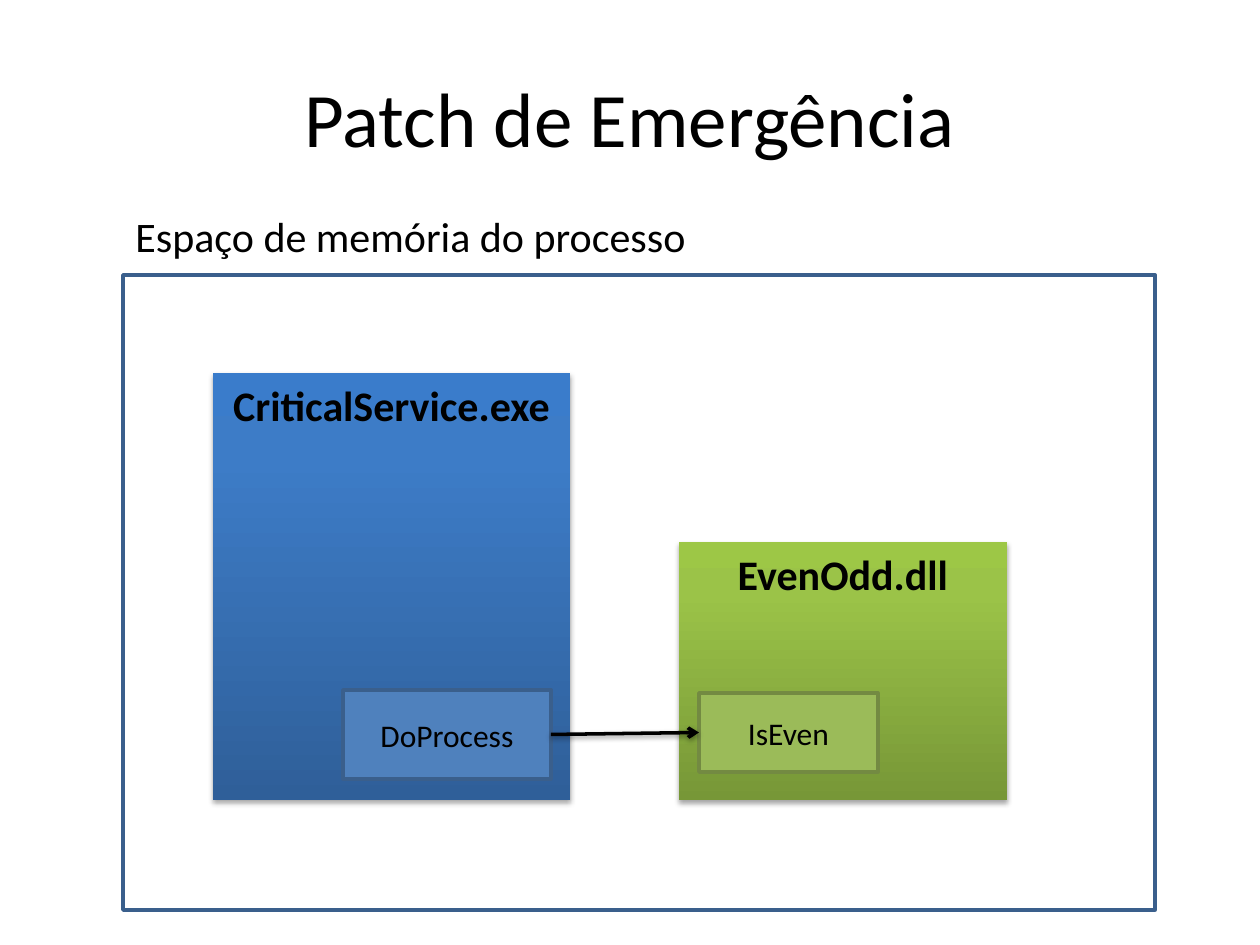
from lxml import etree
from pptx import Presentation
from pptx.dml.color import RGBColor
from pptx.enum.shapes import MSO_CONNECTOR, MSO_SHAPE
from pptx.enum.text import MSO_ANCHOR, PP_ALIGN
from pptx.oxml.ns import qn
from pptx.util import Inches, Pt

RECTANGLE = MSO_SHAPE.RECTANGLE
STRAIGHT = MSO_CONNECTOR.STRAIGHT
TOP, MIDDLE = MSO_ANCHOR.TOP, MSO_ANCHOR.MIDDLE
LEFT, CENTER = PP_ALIGN.LEFT, PP_ALIGN.CENTER

BLACK = RGBColor(0x00, 0x00, 0x00)
BLUE = RGBColor(0x4F, 0x81, 0xBD)
BLUE_EDGE = RGBColor(0x3A, 0x5F, 0x8C)
GREEN = RGBColor(0x9B, 0xBB, 0x59)
GREEN_EDGE = RGBColor(0x73, 0x8A, 0x42)
BLUE_RAMP = [(0, RGBColor(0x2F, 0x5F, 0x99)),
             (80, RGBColor(0x3D, 0x7C, 0xC7)),
             (100, RGBColor(0x3A, 0x7C, 0xCB))]
GREEN_RAMP = [(0, RGBColor(0x77, 0x97, 0x37)),
              (80, RGBColor(0x9B, 0xC3, 0x48)),
              (100, RGBColor(0x9D, 0xC7, 0x46))]

FONT = "Calibri"
EDGE_PT = 2
PX = Inches(1) / 126

TITLE = ("Patch de Emergência", (63, 38, 1134, 158))
MEMORY_LABEL = ("Espaço de memória do processo", (123, 204, 581, 63))
MEMORY_FRAME = (123, 275, 1032, 635)
MODULES = [
    ("CriticalService.exe", (213, 373, 357, 427), BLUE_RAMP),
    ("EvenOdd.dll", (679, 542, 328, 258), GREEN_RAMP),
]
FUNCTIONS = [
    ("DoProcess", (343, 690, 208, 89), BLUE, BLUE_EDGE),
    ("IsEven", (699, 693, 179, 79), GREEN, GREEN_EDGE),
]


def emu(box):
    return [round(length * PX) for length in box]


def write(holder, text, size, bold=False, align=CENTER, anchor=MIDDLE, wrap=True):
    frame = holder.text_frame
    frame.word_wrap = wrap
    frame.vertical_anchor = anchor
    paragraph = frame.paragraphs[0]
    paragraph.alignment = align
    run = paragraph.add_run()
    run.text = text
    run.font.name = FONT
    run.font.size = Pt(size)
    run.font.bold = bold
    run.font.color.rgb = BLACK


def add_box(slide, box, fill=None, edge=None):
    rect = slide.shapes.add_shape(RECTANGLE, *emu(box))
    rect.shadow.inherit = False
    if fill is None:
        rect.fill.background()
    else:
        rect.fill.solid()
        rect.fill.fore_color.rgb = fill
    if edge is None:
        rect.line.fill.background()
    else:
        rect.line.color.rgb = edge
        rect.line.width = Pt(EDGE_PT)
    return rect


def add_color(parent, color):
    return etree.SubElement(parent, qn("a:srgbClr"), val=str(color))


def set_ramp(rect, ramp):
    rect.fill.gradient()
    rect.fill.gradient_angle = 90
    stops = rect._element.spPr.find(".//" + qn("a:gsLst"))
    for stop in list(stops):
        stops.remove(stop)
    for percent, color in ramp:
        add_color(etree.SubElement(stops, qn("a:gs"), pos=str(percent * 1000)), color)


def set_shadow(effects, distance, opacity):
    shadow = etree.SubElement(effects, qn("a:outerShdw"), blurRad=str(Pt(3.1)),
                              dist=str(Pt(distance)), dir="5400000", rotWithShape="0")
    etree.SubElement(add_color(shadow, BLACK), qn("a:alpha"), val=str(opacity * 1000))


def add_call(slide, caller, callee):
    call = slide.shapes.add_connector(STRAIGHT, 0, 0, 0, 0)
    call.begin_connect(caller, 3)
    call.end_connect(callee, 1)
    call.line.color.rgb = BLACK
    call.line.width = Pt(EDGE_PT)
    properties = call._element.spPr
    etree.SubElement(properties.find(qn("a:ln")), qn("a:tailEnd"), type="arrow")
    set_shadow(etree.SubElement(properties, qn("a:effectLst")), 1.6, 38)


def main():
    deck = Presentation()
    deck.slide_width, deck.slide_height = emu((1260, 945))
    slide = deck.slides.add_slide(deck.slide_layouts[6])

    for name, box, ramp in MODULES:
        module = add_box(slide, box)
        set_ramp(module, ramp)
        set_shadow(module._element.spPr.find(qn("a:effectLst")), 1.8, 35)
        write(module, name, 24, bold=True, anchor=TOP)

    ends = []
    for name, box, fill, edge in FUNCTIONS:
        function = add_box(slide, box, fill, edge)
        write(function, name, 18)
        ends.append(function)
    add_call(slide, *ends)

    add_box(slide, MEMORY_FRAME, edge=BLUE_EDGE)
    label, box = MEMORY_LABEL
    write(slide.shapes.add_textbox(*emu(box)), label, 24,
          align=LEFT, anchor=TOP, wrap=False)
    title, box = TITLE
    write(slide.shapes.add_textbox(*emu(box)), title, 44)

    deck.save("out.pptx")


if __name__ == "__main__":
    main()
